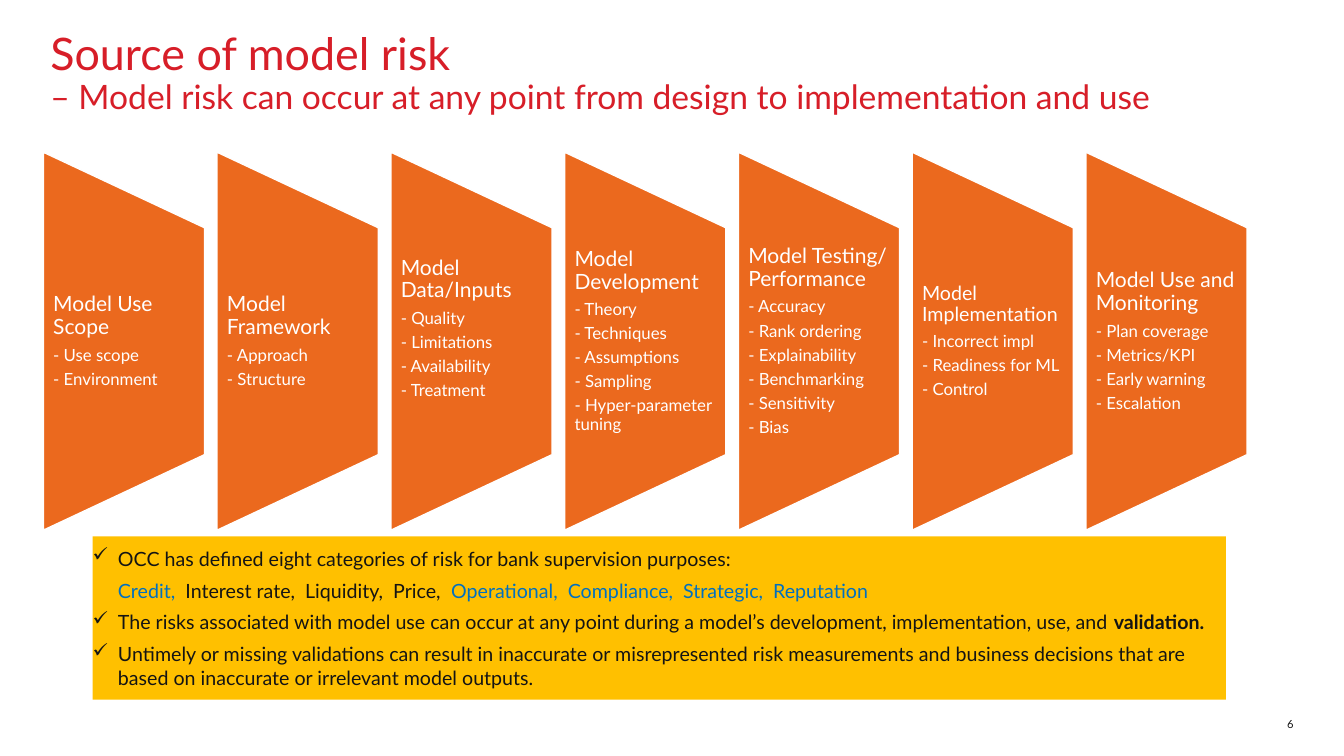
from lxml.etree import SubElement
from pptx import Presentation
from pptx.dml.color import RGBColor
from pptx.enum.shapes import MSO_SHAPE as Shape
from pptx.enum.text import MSO_ANCHOR as Anchor, PP_ALIGN as Align
from pptx.oxml.ns import qn
from pptx.util import Inches, Pt

FONT = "Lato"
RED, ORANGE, AMBER = "D71E28", "EB691E", "FFC000"
INK, BLUE, WHITE = "141414", "0070C0", "FFFFFF"

# Heading, heading size, items, bottom inset
STAGES = [
    ("Model Use Scope", 15, ["Use scope", "Environment"], 0),
    ("Model Framework", 15, ["Approach", "Structure"], 0),
    ("Model Data/Inputs", 15,
     ["Quality", "Limitations", "Availability", "Treatment"], 0.25),
    ("Model Development", 15,
     ["Theory", "Techniques", "Assumptions", "Sampling", "Hyper-parameter tuning"], 0),
    ("Model Testing/ Performance", 15,
     ["Accuracy", "Rank ordering", "Explainability", "Benchmarking", "Sensitivity", "Bias"], 0),
    ("Model Implementation", 14, ["Incorrect impl", "Readiness for ML", "Control"], 0),
    ("Model Use and Monitoring", 15,
     ["Plan coverage", "Metrics/KPI", "Early warning", "Escalation"], 0),
]

# Bulleted or not, then runs of text, colour, bold
FINDINGS = [
    (True, [("OCC has defined eight categories of risk for bank supervision purposes:", INK, False)]),
    (False, [("Credit,  ", BLUE, False),
             ("Interest rate,  Liquidity,  Price,  ", INK, False),
             ("Operational,  Compliance,  Strategic,  Reputation", BLUE, False)]),
    (True, [("The risks associated with model use can occur at any point during a model’s "
             "development, implementation, use, and ", INK, False),
            ("validation.", INK, True)]),
    (True, [("Untimely or missing validations can result in inaccurate or misrepresented risk "
             "measurements and business decisions that are based on inaccurate or irrelevant "
             "model outputs.", INK, False)]),
]


def rgb(value):
    return RGBColor.from_string(value)


def style(font, size, color):
    font.name, font.size = FONT, Pt(size)
    font.color.rgb = rgb(color)


def prepare_frame(shape, anchor, side=0, bottom=0):
    frame = shape.text_frame
    frame.word_wrap = True
    frame.vertical_anchor = anchor
    frame.margin_left = frame.margin_right = Inches(side)
    frame.margin_top, frame.margin_bottom = 0, Inches(bottom)
    return frame


def add_text_box(slide, box, anchor, side=0, bottom=0):
    return prepare_frame(slide.shapes.add_textbox(*map(Inches, box)), anchor, side, bottom)


def add_solid(slide, kind, box, fill):
    solid = slide.shapes.add_shape(kind, *map(Inches, box))
    solid.shadow.inherit = False
    solid.fill.solid()
    solid.fill.fore_color.rgb = rgb(fill)
    return solid


def paragraphs(frame, count):
    return [frame.paragraphs[0]] + [frame.add_paragraph() for _ in range(count - 1)]


def add_title(slide, box):
    line = add_text_box(slide, box, Anchor.TOP).paragraphs[0]
    line.line_spacing = 0.9
    style(line.font, 32, RED)
    line.add_run().text = "Source of model risk"
    line.add_line_break()
    subtitle = line.add_run()
    subtitle.text = "– Model risk can occur at any point from design to implementation and use"
    subtitle.font.size = Pt(24)


def add_stage(slide, box, heading, heading_size, items, bottom):
    left, top, width, height = box
    # The trapezoid is laid out lying down, then turned about its centre
    lying = (left + (width - height) / 2, top + (height - width) / 2, height, width)
    panel = add_solid(slide, Shape.FLOWCHART_MANUAL_OPERATION, lying, ORANGE)
    panel.rotation = 270
    panel.line.color.rgb = rgb(WHITE)
    panel.line.width = Pt(1)

    # Text fills the middle three fifths
    text_box = (left, top + height / 5, width, height * 3 / 5)
    frame = add_text_box(slide, text_box, Anchor.MIDDLE, 0.1, bottom)
    lines = [(heading, heading_size)] + [(f"- {item}", 12) for item in items]
    for line, (text, size) in zip(paragraphs(frame, len(lines)), lines):
        line.text = text
        line.line_spacing = 0.9
        line.space_after = Pt(size * 0.35)
        style(line.font, size, WHITE)


def add_stages(slide, box, column_width=1.6):
    left, top, width, height = box
    pitch = (width - column_width) / (len(STAGES) - 1)
    for column, stage in enumerate(STAGES):
        add_stage(slide, (left + column * pitch, top, column_width, height), *stage)


def add_findings(slide, box):
    panel = add_solid(slide, Shape.RECTANGLE, box, AMBER)
    panel.line.fill.background()
    frame = prepare_frame(panel, Anchor.MIDDLE)
    for line, (bulleted, parts) in zip(paragraphs(frame, len(FINDINGS)), FINDINGS):
        line.alignment = Align.LEFT
        line.space_before = Pt(6)
        line.level = 0 if bulleted else 1
        indent = Inches(0.25)
        properties = line._p.get_or_add_pPr()
        properties.set("marL", str(indent))
        properties.set("indent", str(-indent if bulleted else 0))
        if bulleted:
            SubElement(properties, qn("a:buChar"), char="✓")
        style(line.font, 14, INK)
        for text, color, bold in parts:
            run = line.add_run()
            run.text = text
            run.font.color.rgb = rgb(color)
            run.font.bold = bold


def add_page_number(slide, box):
    line = add_text_box(slide, box, Anchor.BOTTOM).paragraphs[0]
    line.text = "6"
    line.alignment = Align.RIGHT
    style(line.font, 8, INK)


def main():
    deck = Presentation()
    deck.slide_width, deck.slide_height = Inches(13.33), Inches(7.5)
    slide = deck.slides.add_slide(deck.slide_layouts[6])
    add_title(slide, (0.5, 0.32, 12.33, 0.82))
    add_page_number(slide, (12.33, 7, 0.5, 0.25))
    add_findings(slide, (0.92, 5.32, 11.24, 1.62))
    add_stages(slide, (0.43, 1.51, 11.94, 3.75))
    deck.save("out.pptx")


if __name__ == "__main__":
    main()
